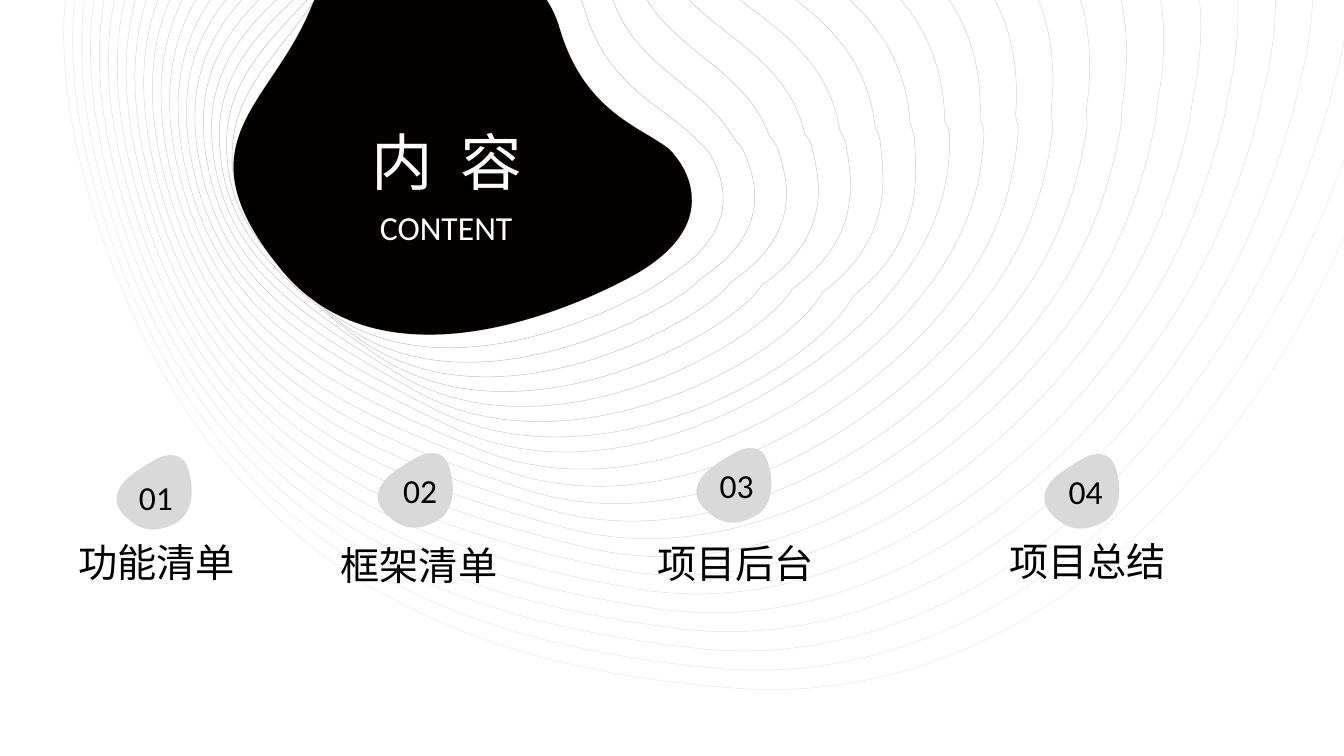
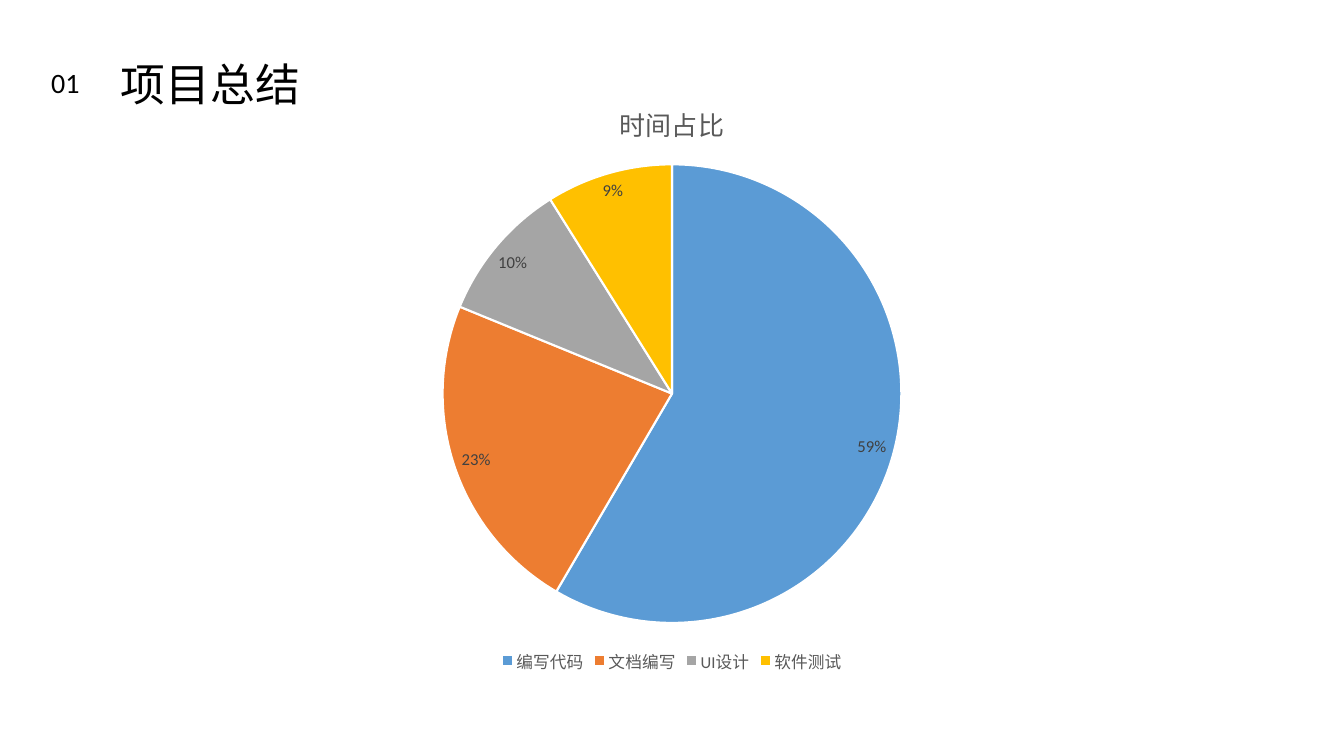
from pptx import Presentation
from pptx.chart.data import CategoryChartData
from pptx.dml.color import RGBColor
from pptx.enum.chart import XL_CHART_TYPE as CT, XL_LABEL_POSITION as LP, XL_LEGEND_POSITION as LG
from pptx.enum.text import MSO_ANCHOR, MSO_AUTO_SIZE, PP_ALIGN
from pptx.oxml.ns import qn
from pptx.util import Inches, Pt

COLS, ROWS = 13.33, 7.5
WIDTH, HEIGHT = Inches(COLS), Inches(ROWS)
LATIN, HAN = "Calibri", "Noto Sans CJK SC"
BLACK, WHITE, INK, EGG_GREY = "000000", "FFFFFF", "040000", "D9D9D9"
TITLE_GREY, LABEL_GREY = "595959", "404040"
SLICES = [("编写代码", 59, "5B9BD5"), ("文档编写", 23, "ED7D31"),
          ("UI设计", 10, "A5A5A5"), ("软件测试", 9, "FFC000")]

AGENDA = [("01", "功能清单", (1.09, 4.43), (1.28, 4.68), (0.68, 5.29)),
          ("02", "框架清单", (3.68, 4.41), (3.9, 4.61), (3.28, 5.32)),
          ("03", "项目后台", (6.84, 4.36), (7.04, 4.56), (6.42, 5.3)),
          ("04", "项目总结", (10.29, 4.42), (10.5, 4.62), (9.91, 5.28))]

EGG = [(0.49, 0.11), (0.49, 0.11), (0.72, 0), (0.78, 0.24), (0.85, 0.48),
       (0.8, 0.68), (0.65, 0.76), (0.5, 0.84), (0.34, 0.87), (0.17, 0.71),
       (0, 0.56), (0.06, 0.42), (0.19, 0.3), (0.33, 0.19), (0.49, 0.11), (0.49, 0.11)]

BLOB = [(6.32, 2.71), (6.32, 2.71), (3.94, 4.12), (2.77, 2.65), (1.77, 1.41),
        (2.68, 1.06), (3.08, 0.09), (3.52, -1.03), (5.26, -0.73), (5.55, 0.28),
        (5.79, 1.1), (6.35, 1.26), (6.61, 1.46), (6.64, 1.48), (6.67, 1.51),
        (6.69, 1.54), (6.82, 1.69), (7.14, 2.23), (6.32, 2.71)]

OUTER = [(10.9, -3.39), (10.9, -3.39), (15.15, -3.09), (13.92, 0.81),
         (12.7, 4.72), (10.15, 7.02), (7.33, 6.83), (4.51, 6.63), (1.99, 5.59),
         (0.91, 2.03), (-0.17, -1.54), (2.05, -2.95), (4.97, -3.39),
         (7.89, -3.82), (10.9, -3.39), (10.9, -3.39)]

KEY_RINGS = {
    1: [(7.11, 6.63), (4.41, 6.38), (2, 5.4), (0.98, 2), (-0.04, -1.42),
        (2.09, -2.77), (4.88, -3.22), (7.68, -3.68), (10.63, -3.26), (10.64, -3.21),
        (10.66, -3.17), (14.69, -2.89), (13.57, 0.84), (13.55, 0.92), (13.53, 1),
        (13.5, 1.08), (13.24, 1.91), (12.91, 2.67), (12.49, 3.34), (11.17, 5.53),
        (9.2, 6.82), (7.11, 6.63)],
    7: [(5.81, 5.43), (3.8, 4.94), (2.07, 4.28), (1.41, 1.79), (0.73, -0.72),
        (2.35, -1.68), (4.34, -2.23), (6.46, -2.81), (9.02, -2.5), (9.11, -2.16),
        (9.2, -1.89), (11.99, -1.68), (11.48, 1.02), (11.47, 1.08), (11.47, 1.15),
        (11.46, 1.22), (11.33, 1.85), (11.12, 2.49), (10.64, 3.15), (9.58, 4.61),
        (7.66, 5.88), (5.81, 5.43)],
    13: [(4.51, 4.25), (3.2, 3.63), (2.15, 3.15), (1.82, 1.58), (1.51, -0.01),
         (2.61, -0.65), (3.8, -1.24), (5.27, -1.96), (7.41, -1.74), (7.58, -1.12),
         (7.74, -0.61), (9.34, -0.42), (9.37, 1.2), (9.38, 1.24), (9.42, 1.3),
         (9.42, 1.35), (9.42, 1.78), (9.34, 2.31), (8.78, 2.96), (8.12, 3.75),
         (6.15, 5.01), (4.51, 4.25)],
    14: [(4.29, 4.05), (3.09, 3.43), (2.15, 2.96), (1.89, 1.54), (1.63, 0.11),
         (2.66, -0.48), (3.71, -1.07), (5.06, -1.82), (7.14, -1.61), (7.33, -0.95),
         (7.49, -0.39), (8.93, -0.2), (9.03, 1.23), (9.04, 1.27), (9.07, 1.33),
         (9.07, 1.38), (9.09, 1.77), (9.16, 2.38), (8.47, 2.93), (8.03, 3.71),
         (5.89, 4.88), (4.29, 4.05)],
    20: [(2.98, 2.85), (2.41, 2.25), (2.24, 1.84), (2.32, 1.33), (2.4, 0.8),
         (2.86, 0.43), (3.17, -0.08), (3.79, -1.13), (5.52, -0.86), (5.8, 0.1),
         (6.03, 0.89), (6.62, 1.06), (6.93, 1.41), (6.96, 1.43), (7.01, 1.48),
         (7.03, 1.51), (7.14, 1.7), (7.43, 2.25), (6.63, 2.74), (6.55, 2.85),
         (4.26, 4.21), (2.98, 2.85)],
}


def rgb(code):
    """Return the colour for a hex string."""
    return RGBColor.from_string(code)


def grid(x, y):
    """Turn a column and a row into slide lengths."""
    return round(WIDTH * x / COLS), round(HEIGHT * y / ROWS)


def set_font(font, size, color, name=LATIN):
    """Set size, colour and typeface of a font."""
    font.size, font.bold, font.name = Pt(size), False, name
    font.color.rgb = rgb(color)


def add_run(p, text, size, color, name=LATIN, spacing=None):
    """Add one formatted run to a paragraph."""
    r = p.add_run()
    r.text = text
    set_font(r.font, size, color, name)
    rPr = r.font._element
    rPr.set("lang", "zh-CN")
    if spacing:
        rPr.set("spc", str(spacing))
    ea = rPr.makeelement(qn("a:ea"), {"typeface": HAN})
    rPr.find(qn("a:latin")).addnext(ea)


def setup_frame(sp):
    """Make a shape's text unwrapped, top left, and return its paragraph."""
    tf = sp.text_frame
    tf.word_wrap = False
    tf.auto_size = MSO_AUTO_SIZE.NONE
    tf.vertical_anchor = MSO_ANCHOR.TOP
    tf.paragraphs[0].alignment = PP_ALIGN.LEFT
    return tf.paragraphs[0]


def add_text(s, text, pos, size, box, color=BLACK, name=LATIN):
    """Add a one-line text box."""
    sp = s.shapes.add_textbox(*grid(*pos), *grid(*box))
    add_run(setup_frame(sp), text, size, color, name)


def set_title(s, pos, box, size, color, *parts):
    """Place the title in front and fill it with (text, spacing) parts."""
    sp = s.shapes.title
    sp.left, sp.top = grid(*pos)
    sp.width, sp.height = grid(*box)
    p = setup_frame(sp)
    for text, spacing in parts:
        add_run(p, text, size, color, spacing=spacing)
    s.shapes._spTree.append(sp._element)


def add_curve(s, points, fill=None, line=None):
    """Draw a closed outline from a start point and cubic curve triples."""
    pts = [grid(*pt) for pt in points]
    ff = s.shapes.build_freeform(*pts[0])
    ff.add_line_segments(pts[1:], close=True)
    sp = ff.convert_to_shape()
    sp.shadow.inherit = False
    steps = list(sp._element.iter(qn("a:lnTo")))
    for i in range(0, len(steps), 3):
        curve = steps[i].makeelement(qn("a:cubicBezTo"), {})
        steps[i].addprevious(curve)
        for step in steps[i:i + 3]:
            curve.append(step[0])
            step.getparent().remove(step)
    if fill:
        sp.fill.solid()
        sp.fill.fore_color.rgb = rgb(fill)
    else:
        sp.fill.background()
    if line:
        sp.line.color.rgb = rgb(line)
        sp.line.width = Pt(0.38)
    else:
        sp.line.fill.background()


def blend_ring(i):
    """Return ring i, blended between its neighbouring key rings."""
    low = max(k for k in KEY_RINGS if k <= i)
    high = min(k for k in KEY_RINGS if k >= i)
    t = (i - low) / max(high - low, 1)
    return [(a + (c - a) * t, b + (d - b) * t)
            for (a, b), (c, d) in zip(KEY_RINGS[low], KEY_RINGS[high])]


def add_rings(s):
    """Draw the rings from the outside in, then the dark blob."""
    rings = [OUTER, *(blend_ring(i) for i in range(1, 21)), BLOB]
    for i, ring in enumerate(rings):
        add_curve(s, ring, line=f"{0xEA - 2 * i:02X}" * 3)
    add_curve(s, BLOB, fill=INK)


def add_agenda_item(s, number, label, egg, number_pos, label_pos):
    """Add a numbered egg with its label."""
    add_curve(s, [(egg[0] + x, egg[1] + y) for x, y in EGG], fill=EGG_GREY)
    add_text(s, number, number_pos, 24, (0.54, 0.5))
    add_text(s, label, label_pos, 28, (1.77, 0.57), name=HAN)


def add_pie(s, title, slices, pos, box):
    """Add a pie chart with a title, percent labels and a legend."""
    data = CategoryChartData()
    data.categories = [name for name, _, _ in slices]
    data.add_series(title, [value for _, value, _ in slices])
    chart = s.shapes.add_chart(CT.PIE, *grid(*pos), *grid(*box), data).chart
    set_font(chart.font, 10, BLACK)
    chart.has_title = True
    add_run(chart.chart_title.text_frame.paragraphs[0], title, 18.6, TITLE_GREY)
    chart.chart_title.include_in_layout = False
    chart.has_legend = True
    chart.legend.position = LG.BOTTOM
    chart.legend.include_in_layout = False
    set_font(chart.legend.font, 11.9, TITLE_GREY)
    plot = chart.plots[0]
    plot.vary_by_categories = True
    plot.has_data_labels = True
    labels = plot.data_labels
    labels.show_percentage, labels.show_value = False, True
    labels.number_format, labels.number_format_is_linked = '0"%"', False
    labels.position = LP.BEST_FIT
    set_font(labels.font, 11.9, LABEL_GREY)
    for i, (_, _, color) in enumerate(slices):
        fmt = plot.series[0].points[i].format
        fmt.fill.solid()
        fmt.fill.fore_color.rgb = rgb(color)
        fmt.line.color.rgb = rgb(WHITE)
        fmt.line.width = Pt(1.5)


def build_contents(s):
    """Build the contents slide."""
    add_rings(s)
    set_title(s, (3.58, 1.18), (1.72, 0.84), 44, WHITE, ("内 ", 500), ("容", None))
    add_text(s, "CONTENT", (3.67, 2), 24, (1.52, 0.5), WHITE)
    for item in AGENDA:
        add_agenda_item(s, *item)


def build_summary(s):
    """Build the project summary slide."""
    add_text(s, "01", (0.41, 0.6), 20, (0.49, 0.44))
    set_title(s, (1.1, 0.51), (2, 0.64), 32, BLACK, ("项目总结", None))
    add_pie(s, "时间占比", SLICES, (2.22, 0.79), (8.89, 5.93))


def main():
    """Build and save the presentation."""
    prs = Presentation()
    prs.slide_width, prs.slide_height = WIDTH, HEIGHT
    for build in (build_contents, build_summary):
        build(prs.slides.add_slide(prs.slide_layouts[5]))
    prs.save("out.pptx")


main()
